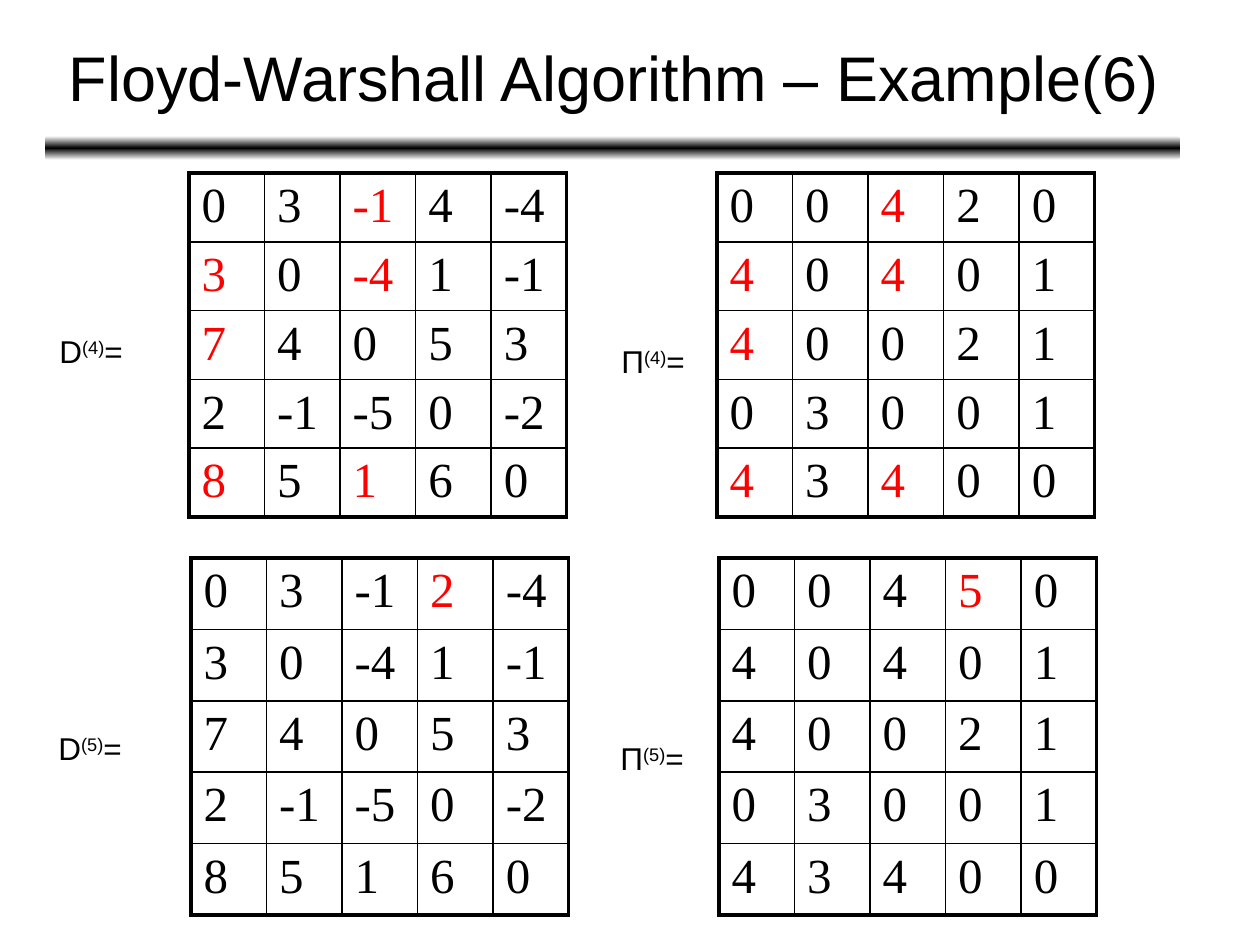
"""Builds the Floyd-Warshall example slide with its four matrices."""
from copy import deepcopy

from lxml.etree import SubElement
from pptx import Presentation
from pptx.dml.color import RGBColor
from pptx.enum.shapes import MSO_SHAPE
from pptx.enum.text import MSO_ANCHOR, MSO_AUTO_SIZE, PP_ALIGN
from pptx.oxml.ns import qn
from pptx.util import Pt

BLACK = RGBColor(0, 0, 0)
WHITE = RGBColor(255, 255, 255)
RED = RGBColor(255, 0, 0)
SANS, SERIF = "Arial", "Times New Roman"
SCALE = 914400 / 126


def px(n):
    """Turn pixels into EMU."""
    return int(n * SCALE)


class SlideBuilder:
    """Draws the elements of one slide in a common style."""

    def __init__(self, slide):
        self.shapes = slide.shapes

    def font(self, p, name, size, color=BLACK):
        """Set the font of a paragraph."""
        p.font.name, p.font.size = name, Pt(size)
        p.font.color.rgb = color

    def bar(self, *box):
        """Add a rounded bar that fades from black to white."""
        sp = self.shapes.add_shape(MSO_SHAPE.ROUNDED_RECTANGLE, *map(px, box))
        sp.shadow.inherit = False
        sp.line.fill.background()
        sp.fill.gradient()
        sp.fill.gradient_angle = 90
        stops = sp._element.spPr.find(".//" + qn("a:gsLst"))
        stops.append(deepcopy(stops[0]))
        for stop, pos, color in zip(sp.fill.gradient_stops, (0, 0.5, 1), (WHITE, BLACK, WHITE)):
            stop.position, stop.color.rgb = pos, color

    def text(self, box, size, *parts):
        """Add a text box; every second part is superscript."""
        sp = self.shapes.add_textbox(*map(px, box))
        tf = sp.text_frame
        tf.word_wrap = True
        p = tf.paragraphs[0]
        self.font(p, SANS, size)
        for i, part in enumerate(parts):
            r = p.add_run()
            r.text = part
            if i % 2:
                r.font._element.set("baseline", "30000")
        return tf

    def title(self, box, text):
        """Add the centred title."""
        tf = self.text(box, 36, text)
        tf.vertical_anchor = MSO_ANCHOR.MIDDLE
        tf.paragraphs[0].alignment = PP_ALIGN.CENTER

    def label(self, x, y, symbol, step):
        """Add a matrix name."""
        tf = self.text((x, y, 112, 50), 18, symbol, f"({step})", "=")
        tf.auto_size = MSO_AUTO_SIZE.SHAPE_TO_FIT_TEXT

    def border(self, cell, side, width):
        """Add a black line on one side of a cell."""
        ln = SubElement(cell._tc.get_or_add_tcPr(), qn("a:ln" + side), w=str(Pt(width)))
        fill = SubElement(ln, qn("a:solidFill"))
        SubElement(fill, qn("a:srgbClr"), val=str(BLACK))

    def matrix(self, x, y, row_height, rows):
        """Add a boxed matrix; a star marks a red value."""
        n = len(rows)
        width = 378
        table = self.shapes.add_table(n, n, px(x), px(y), px(width), px(row_height * n)).table
        table.first_row = table.horz_banding = False
        for column in table.columns:
            column.width = px(width / n)
        for i, row in enumerate(rows):
            table.rows[i].height = px(row_height)
            for j, value in enumerate(row.split()):
                cell = table.cell(i, j)
                cell.margin_top, cell.margin_bottom = px(6), px(4)
                edges = {"L": j == 0, "R": j == n - 1, "T": i == 0, "B": i == n - 1}
                for side, outer in edges.items():
                    self.border(cell, side, 2.25 if outer else 1)
                cell.fill.background()
                p = cell.text_frame.paragraphs[0]
                p.add_run().text = value.rstrip("*")
                self.font(p, SERIF, 28, RED if value.endswith("*") else BLACK)


D4 = ["0 3 -1* 4 -4", "3* 0 -4* 1 -1", "7* 4 0 5 3", "2 -1 -5 0 -2", "8* 5 1* 6 0"]
P4 = ["0 0 4* 2 0", "4* 0 4* 0 1", "4* 0 0 2 1", "0 3 0 0 1", "4* 3 4* 0 0"]
D5 = ["0 3 -1 2* -4", "3 0 -4 1 -1", "7 4 0 5 3", "2 -1 -5 0 -2", "8 5 1 6 0"]
P5 = ["0 0 4 5* 0", "4 0 4 0 1", "4 0 0 2 1", "0 3 0 0 1", "4 3 4 0 0"]

prs = Presentation()
prs.slide_width, prs.slide_height = px(1260), px(945)
s = SlideBuilder(prs.slides.add_slide(prs.slide_layouts[6]))

s.bar(45, 136, 1135, 24)
s.title((47, 14, 1134, 125), "Floyd-Warshall Algorithm – Example(6)")
for step, x, y, row_height, label_x, label_y, d, pi in (
    (4, 189, 173, 66.8, 47, 326, D4, P4),
    (5, 191, 558, 71.4, 46, 723, D5, P5),
):
    s.matrix(x, y, row_height, d)
    s.matrix(x + 528, y, row_height, pi)
    s.label(label_x, label_y, "D", step)
    s.label(label_x + 562, label_y + 10, "Π", step)

prs.save("out.pptx")
